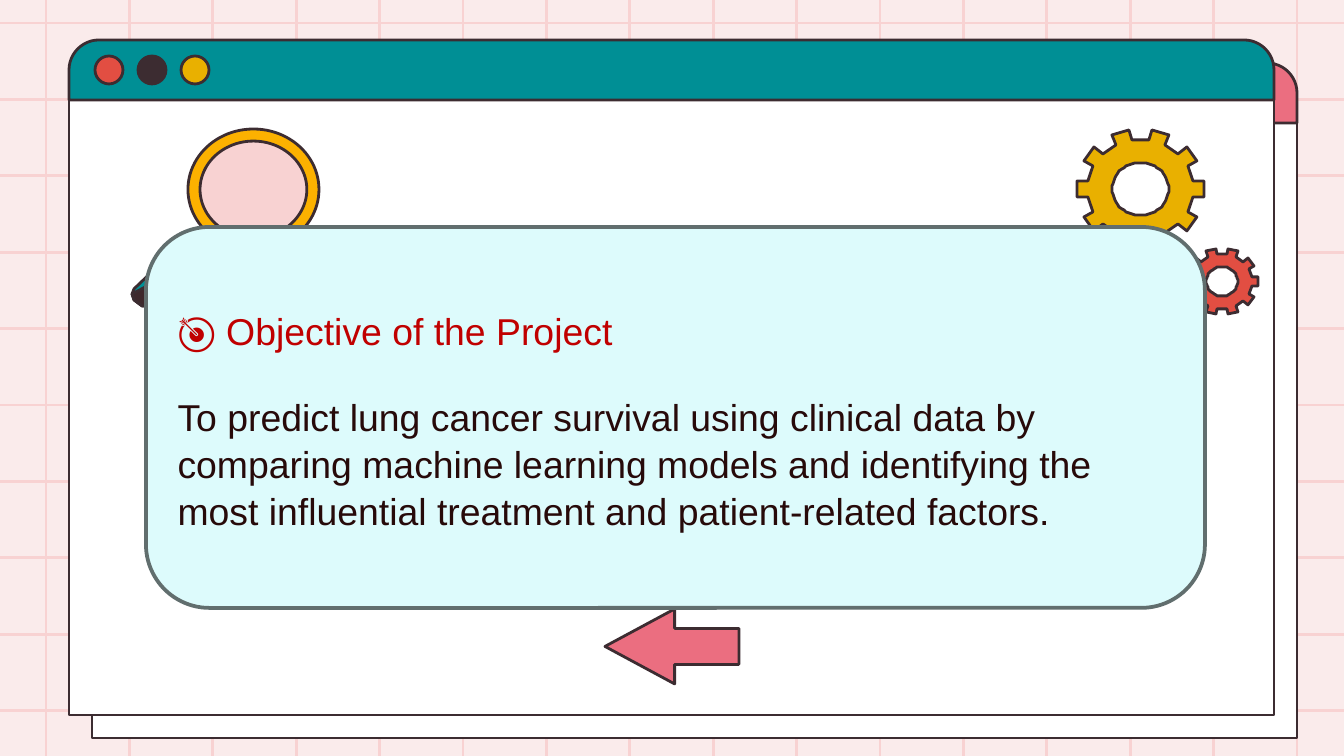
from math import cos, radians, sin

from lxml.etree import SubElement
from pptx import Presentation
from pptx.dml.color import RGBColor
from pptx.enum.shapes import MSO_CONNECTOR, MSO_SHAPE
from pptx.enum.text import MSO_ANCHOR, PP_ALIGN
from pptx.oxml.ns import qn
from pptx.util import Emu, Pt

SCALE = 914400 / 134.4
WIDE, HIGH = 1344, 756
FONT = "Arial"
HEX = {
    "back": "FAEBEB", "grid": "F8D2D2", "ink": "3C2C31", "white": "FFFFFF",
    "pink": "EB6E80", "teal": "008F95", "red": "E24E42", "gold": "E9B000",
    "amber": "FCB100", "grip": "009096", "shade": "3E282C", "card": "DDFBFC",
    "edge": "616E6E", "title": "C00000", "body": "270A0A",
}


def px(size):
    return Emu(round(size * SCALE))


def color(name):
    return RGBColor.from_string(HEX[name])


def paint(shape, fill, edge="ink", width=1.5):
    shape.shadow.inherit = False
    shape.fill.solid()
    shape.fill.fore_color.rgb = color(fill)
    shape.line.color.rgb = color(edge)
    shape.line.width = Pt(width)
    return shape


def add(slide, kind, x, y, w, h, fill, *adjust):
    shape = slide.shapes.add_shape(kind, px(x), px(y), px(w), px(h))
    for i, value in enumerate(adjust):
        shape.adjustments[i] = value
    return paint(shape, fill)


def outline(slide, fill, *loops):
    pen = slide.shapes.build_freeform(*loops[0][0], scale=SCALE)
    pen.add_line_segments(loops[0][1:], close=True)
    for loop in loops[1:]:
        pen.move_to(*loop[0])
        pen.add_line_segments(loop[1:], close=True)
    return paint(pen.convert_to_shape(), fill)


def rule(slide, x1, y1, x2, y2):
    line = slide.shapes.add_connector(
        MSO_CONNECTOR.STRAIGHT, px(x1), px(y1), px(x2), px(y2))
    line.line.color.rgb = color("grid")
    line.line.width = Pt(1.5)
    SubElement(line.element.spPr, qn("a:effectLst"))


def grid(slide, x, y, w, h):
    for i in range(16):
        left = x + 46 + i * 83.4
        rule(slide, left, y, left, y + h)
    for i in range(10):
        top = y + 23 + i * 76.4
        rule(slide, x, top, x + w, top)


def window(slide, x, y, w, h, fill):
    bar = 60
    add(slide, MSO_SHAPE.RECTANGLE, x, y + bar, w, h - bar, "white")
    add(slide, MSO_SHAPE.ROUND_2_SAME_RECTANGLE, x, y, w, bar, fill, 0.5, 0)
    for i, dot in enumerate(("red", "ink", "gold")):
        add(slide, MSO_SHAPE.OVAL, x + 26 + i * 43, y + 16, 28, 28, dot)


def gear(slide, x, y, w, h, fill):
    def spot(angle, reach):
        turn = radians(angle)
        return (x + w / 2 * (1 + reach * cos(turn)),
                y + h / 2 * (1 + reach * sin(turn)))

    teeth = [spot(mid + step, reach) for mid in range(0, 360, 36)
             for step, reach in ((-9, 0.83), (-8, 1), (8, 1), (9, 0.83))]
    hole = [spot(angle, 0.44) for angle in range(360, 0, -6)]
    outline(slide, fill, teeth, hole)


def lens(slide, x, y):
    def place(points):
        return [(x + left, y + top) for left, top in points]

    neck = [(64, 124), (56, 117), (75, 98), (83, 105)]
    shade = [(0, 165), (2, 171), (10, 177), (20, 177), (70, 128)]
    grip = shade + [(70, 118), (62, 112), (52, 112), (2, 160)]
    outline(slide, "grip", place(neck))
    outline(slide, "grip", place(grip))
    outline(slide, "shade", place(shade))
    add(slide, MSO_SHAPE.OVAL, x + 64, y + 7, 116, 108, "grid")
    add(slide, MSO_SHAPE.DONUT, x + 56, y, 131, 121, "amber", 0.1)


def write(para, text, name):
    para.alignment = PP_ALIGN.LEFT
    para.line_spacing = 1.05
    run = para.add_run()
    run.text = text
    run.font.name = FONT
    run.font.size = Pt(20)
    run.font.color.rgb = color(name)


def card(slide, x, y, w, h):
    box = add(slide, MSO_SHAPE.ROUNDED_RECTANGLE, x, y, w, h, "card", 0.1667)
    paint(box, "card", "edge", 2)
    frame = box.text_frame
    frame.word_wrap = True
    frame.vertical_anchor = MSO_ANCHOR.MIDDLE
    frame.margin_left = frame.margin_right = px(13)
    frame.margin_top, frame.margin_bottom = px(97), px(7)
    write(frame.paragraphs[0],
          "To predict lung cancer survival using clinical data by comparing "
          "machine learning models and identifying the most influential "
          "treatment and patient-related factors.", "body")

    title = slide.shapes.title
    title.left, title.top = px(x + 32), px(y + 72)
    title.width, title.height = px(w - 64), px(60)
    head = title.text_frame
    head.vertical_anchor = MSO_ANCHOR.MIDDLE
    head.margin_left = head.margin_right = 0
    head.margin_top = head.margin_bottom = 0
    write(head.paragraphs[0], "🎯 Objective of the Project", "title")
    box.element.addnext(title.element)


def main():
    deck = Presentation()
    deck.slide_width, deck.slide_height = px(WIDE), px(HIGH)
    slide = deck.slides.add_slide(deck.slide_layouts[5])
    slide.background.fill.solid()
    slide.background.fill.fore_color.rgb = color("back")
    grid(slide, 0, 0, WIDE, HIGH)
    window(slide, 92, 63, 1205, 675, "pink")
    window(slide, 69, 40, 1205, 675, "teal")
    gear(slide, 1076, 129, 129, 120, "gold")
    gear(slide, 1186, 248, 72, 67, "red")
    add(slide, MSO_SHAPE.LEFT_ARROW, 605, 609, 134, 75, "pink", 0.48, 0.93)
    lens(slide, 132, 129)
    card(slide, 146, 227, 1059, 381)
    deck.save("out.pptx")


if __name__ == "__main__":
    main()
